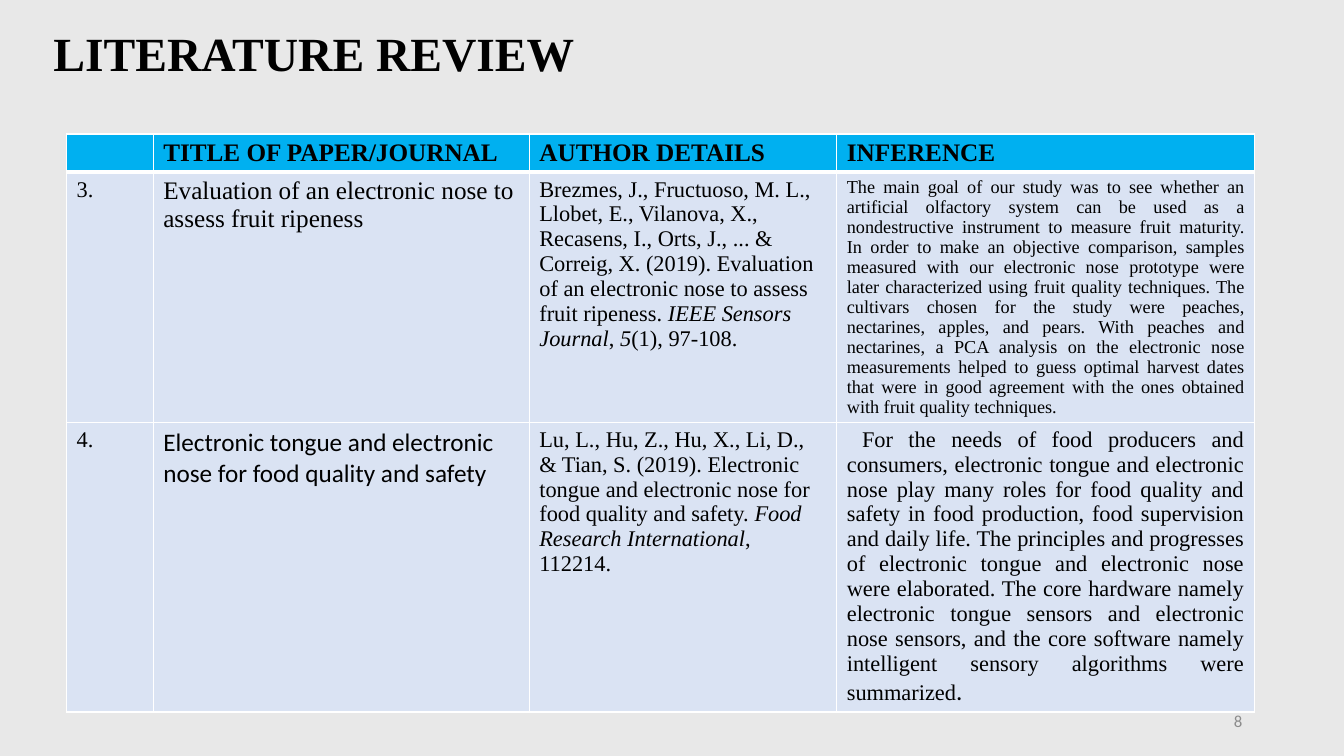
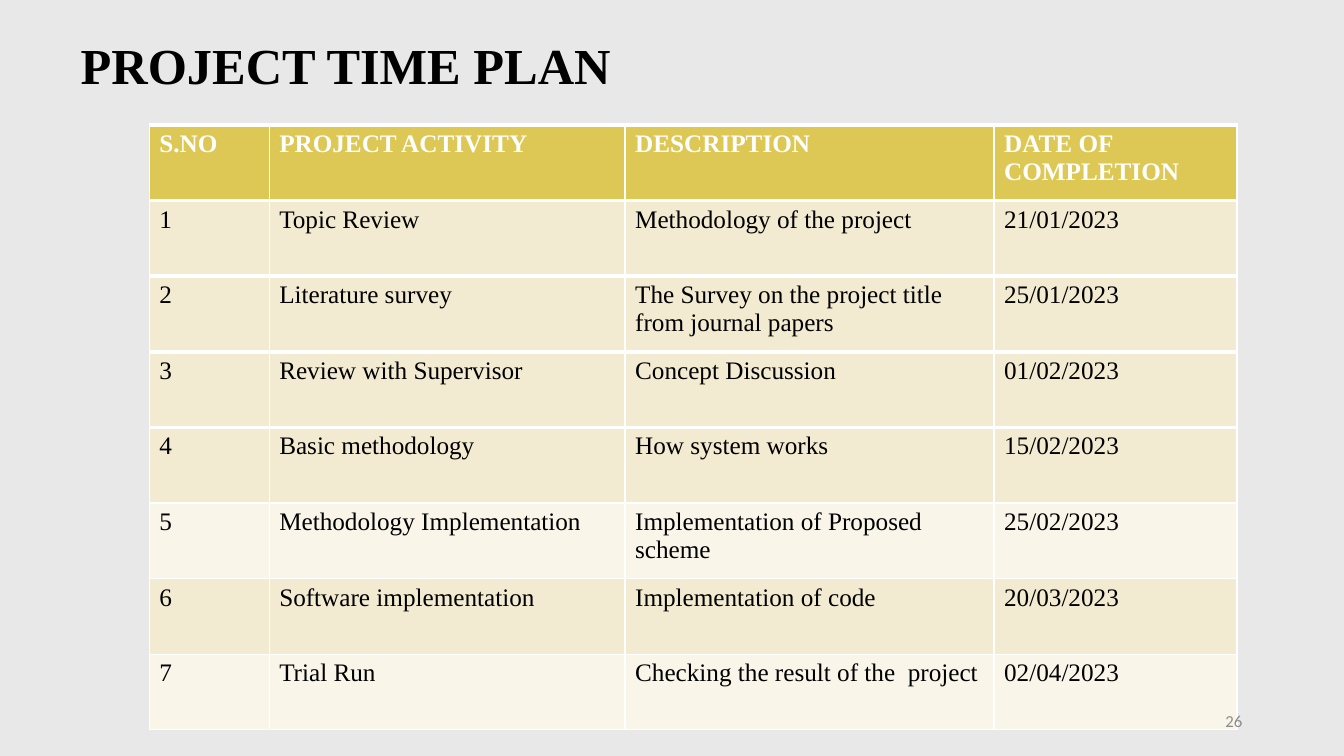
from dataclasses import dataclass

from lxml import etree
from pptx import Presentation
from pptx.dml.color import RGBColor
from pptx.enum.text import MSO_ANCHOR, MSO_AUTO_SIZE, PP_ALIGN
from pptx.oxml.ns import qn
from pptx.util import Inches, Pt

# Shared look
SERIF, SANS = "Times New Roman", "Calibri"
BLACK, WHITE, GREY = "000000", "FFFFFF", "8C8C8C"
BACKGROUND = "E8E8E8"
SKY, PALE_BLUE = "00B0F0", "DAE3F3"
GOLD, SAND, CREAM = "DDC855", "F2EBD1", "F9F5E9"
TITLE_ONLY = 5


@dataclass
class Span:
    text: str
    size: float = 16
    font: str = SERIF
    italic: bool = False


# Literature table content
REVIEW_HEADER = ["", "TITLE OF PAPER/JOURNAL", "AUTHOR DETAILS", "INFERENCE"]
REVIEW_ROWS = [
    [
        [Span("3.")],
        [Span("Evaluation of an electronic nose to assess fruit ripeness", 18)],
        [
            Span("Brezmes, J., Fructuoso, M. L., Llobet, E., Vilanova, X., Recasens, I., "
                 "Orts, J., ... & Correig, X. (2019). Evaluation of an electronic nose to "
                 "assess fruit ripeness. "),
            Span("IEEE Sensors Journal", italic=True),
            Span(", "),
            Span("5", italic=True),
            Span("(1), 97-108."),
        ],
        [Span("The main goal of our study was to see whether an artificial olfactory system "
              "can be used as a nondestructive instrument to measure fruit maturity. In order "
              "to make an objective comparison, samples measured with our electronic nose "
              "prototype were later characterized using fruit quality techniques. The "
              "cultivars chosen for the study were peaches, nectarines, apples, and pears. "
              "With peaches and nectarines, a PCA analysis on the electronic nose "
              "measurements helped to guess optimal harvest dates that were in good "
              "agreement with the ones obtained with fruit quality techniques.", 13)],
    ],
    [
        [Span("4.")],
        [Span("Electronic tongue and electronic nose for food quality and safety", 18, SANS)],
        [
            Span("Lu, L., Hu, Z., Hu, X., Li, D., & Tian, S. (2019). Electronic tongue and "
                 "electronic nose for food quality and safety. "),
            Span("Food Research International", italic=True),
            Span(", 112214."),
        ],
        [
            Span("For the needs of food producers and consumers, electronic tongue and "
                 "electronic nose play many roles for food quality and safety in food "
                 "production, food supervision and daily life. The principles and progresses "
                 "of electronic tongue and electronic nose were elaborated. The core hardware "
                 "namely electronic tongue sensors and electronic nose sensors, and the core "
                 "software namely intelligent sensory algorithms were summarized"),
            Span(".", 18, SANS),
        ],
    ],
]

# Time plan content
PLAN_HEADER = ["S.NO", "PROJECT ACTIVITY", "DESCRIPTION", "DATE OF COMPLETION"]
PLAN_ROWS = [
    ("Topic Review", "Methodology of the project", "21/01/2023"),
    ("Literature survey", "The Survey on the project title from journal papers", "25/01/2023"),
    ("Review with Supervisor", "Concept Discussion", "01/02/2023"),
    ("Basic methodology", "How system works", "15/02/2023"),
    ("Methodology Implementation", "Implementation of Proposed scheme", "25/02/2023"),
    ("Software implementation", "Implementation of code", "20/03/2023"),
    ("Trial Run", "Checking the result of the  project", "02/04/2023"),
]
PLAN_FILLS = [GOLD, SAND, SAND, SAND, SAND, CREAM, SAND, CREAM]


def color(hex_text):
    return RGBColor.from_string(hex_text)


def style_run(run, size, font, ink, bold=False, italic=False):
    run.font.size = Pt(size)
    run.font.name = font
    run.font.bold = bold
    run.font.italic = italic
    run.font.color.rgb = color(ink)


def add_page(deck, title, at, size, line_spacing=1.0):
    """Add a page with its title."""
    page = deck.slides.add_slide(deck.slide_layouts[TITLE_ONLY])
    box = page.shapes.title
    box.left, box.top, box.width, box.height = map(Inches, at)
    frame = box.text_frame
    frame.text = title
    frame.auto_size = MSO_AUTO_SIZE.NONE
    frame.vertical_anchor = MSO_ANCHOR.TOP
    para = frame.paragraphs[0]
    para.alignment = PP_ALIGN.LEFT
    para.line_spacing = line_spacing
    style_run(para.runs[0], size, SERIF, BLACK, bold=True)
    return page


def add_page_number(page, number):
    """Add the page number, in front of what the page already holds."""
    box = page.shapes.add_textbox(Inches(9.42), Inches(6.95), Inches(3), Inches(0.4))
    frame = box.text_frame
    frame.word_wrap = True
    frame.vertical_anchor = MSO_ANCHOR.MIDDLE
    frame.text = str(number)
    para = frame.paragraphs[0]
    para.alignment = PP_ALIGN.RIGHT
    style_run(para.runs[0], 12, SANS, GREY)


def set_borders(cell, top, bottom):
    """Draw white cell edges; the sides are always 1 point."""
    properties = cell._tc.get_or_add_tcPr()
    edges = [("a:lnL", 1), ("a:lnR", 1), ("a:lnT", top), ("a:lnB", bottom)]
    for position, (tag, width) in enumerate(edges):
        line = etree.Element(qn(tag), w=str(Pt(width)))
        fill = etree.SubElement(line, qn("a:solidFill"))
        etree.SubElement(fill, qn("a:srgbClr"), val=WHITE)
        properties.insert(position, line)


def fill_cell(cell, spans, fill, ink, bold):
    cell.fill.solid()
    cell.fill.fore_color.rgb = color(fill)
    para = cell.text_frame.paragraphs[0]
    for span in spans:
        if span.text:
            run = para.add_run()
            run.text = span.text
            style_run(run, span.size, span.font, ink, bold, span.italic)
        else:
            # Keeps an empty cell from stretching its row
            para._p.get_or_add_endParaRPr().set("sz", "1200")


def add_grid(page, left, top, widths, heights, rows, fills, rules, header_ink):
    """Add a table; rules holds the width of each horizontal line."""
    frame = page.shapes.add_table(
        len(rows), len(widths), Inches(left), Inches(top),
        Inches(sum(widths)), Inches(sum(heights)))
    table = frame.table
    for column, width in zip(table.columns, widths):
        column.width = Inches(width)
    for index, spans_in_row in enumerate(rows):
        table.rows[index].height = Inches(heights[index])
        header = index == 0
        for cell, spans in zip(table.rows[index].cells, spans_in_row):
            fill_cell(cell, spans, fills[index], header_ink if header else BLACK, header)
            set_borders(cell, rules[index], rules[index + 1])
    return frame


def plain_row(texts):
    return [[Span(text, 18)] for text in texts]


def build_review(deck):
    page = add_page(deck, "LITERATURE REVIEW", (0.43, 0.25, 11.5, 0.9), 34, 0.9)
    # Row heights are minimums: the text sets the final height
    frame = add_grid(
        page, 0.66, 1.33, [0.86, 3.73, 3.05, 4.14], [0.37, 2.33, 2.26],
        [plain_row(REVIEW_HEADER)] + REVIEW_ROWS,
        [SKY, PALE_BLUE, PALE_BLUE], [1, 3, 1, 1], BLACK)
    frame.height = Inches(6.17)
    # Justified inferences, the last with an indented first line
    for row in (1, 2):
        para = frame.table.cell(row, 3).text_frame.paragraphs[0]
        para.alignment = PP_ALIGN.JUSTIFY
    para._p.get_or_add_pPr().set("indent", str(Inches(0.15)))
    add_page_number(page, 8)


def build_plan(deck):
    page = add_page(deck, "PROJECT TIME PLAN", (0.7, 0.29, 6.67, 0.71), 36)
    rows = [PLAN_HEADER] + [(str(number), *row) for number, row in enumerate(PLAN_ROWS, 1)]
    add_grid(
        page, 1.48, 1.24, [1.19, 3.53, 3.66, 2.41], [0.75] * len(rows),
        [plain_row(row) for row in rows],
        PLAN_FILLS, [3] * 5 + [1] * 4, WHITE)
    add_page_number(page, 26)


def main():
    deck = Presentation()
    deck.slide_width, deck.slide_height = Inches(13.33), Inches(7.5)
    background = deck.slide_master.background.fill
    background.solid()
    background.fore_color.rgb = color(BACKGROUND)
    build_review(deck)
    build_plan(deck)
    deck.save("out.pptx")


if __name__ == "__main__":
    main()
